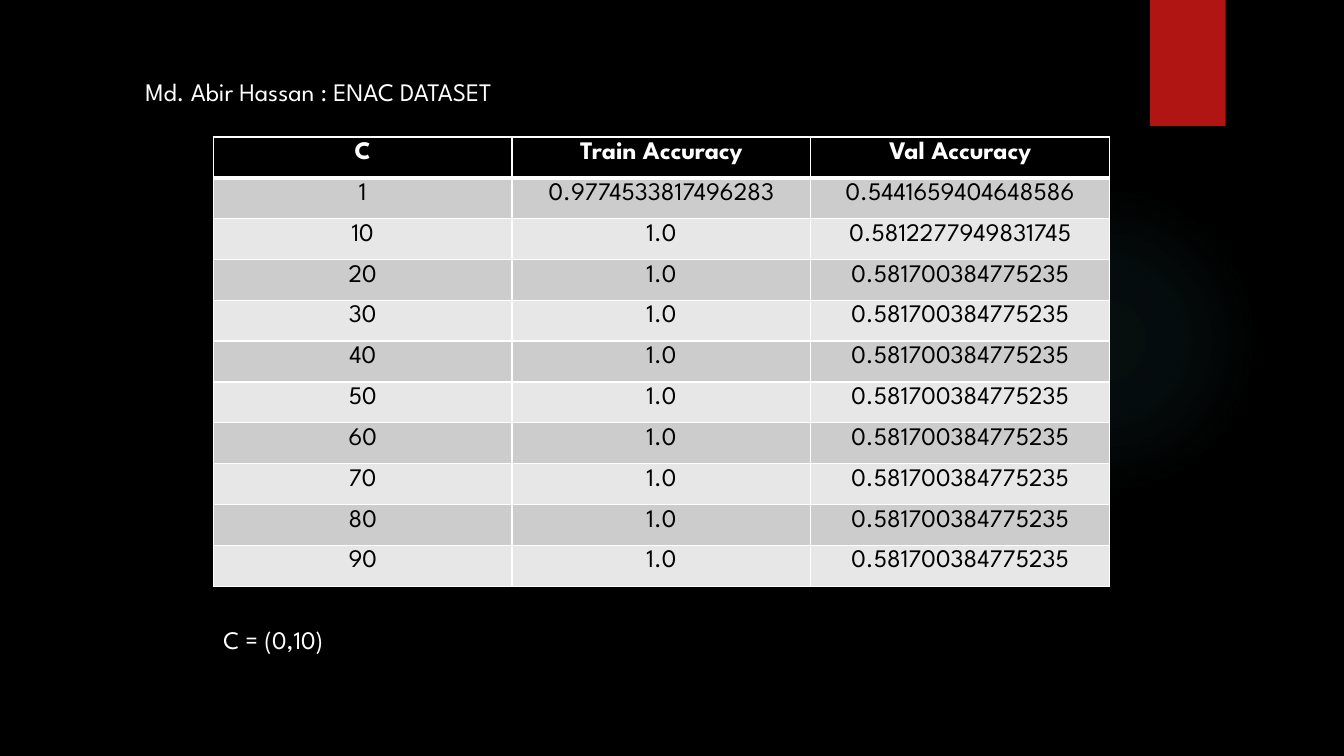
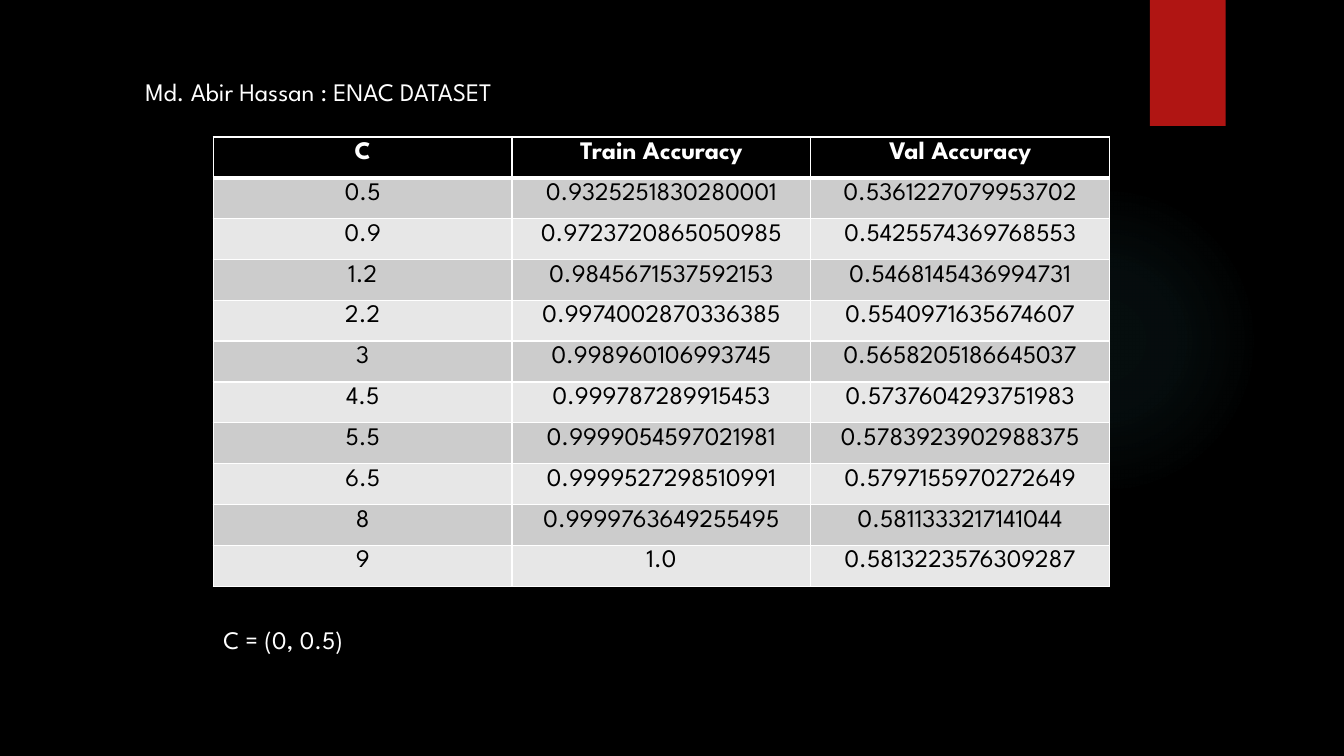
from dataclasses import dataclass

from lxml import etree
from pptx import Presentation
from pptx.dml.color import RGBColor
from pptx.enum.shapes import MSO_SHAPE
from pptx.enum.text import MSO_ANCHOR, MSO_AUTO_SIZE, PP_ALIGN
from pptx.oxml.ns import nsdecls, qn
from pptx.util import Inches, Pt

LEFT, CENTER = PP_ALIGN.LEFT, PP_ALIGN.CENTER
TOP = MSO_ANCHOR.TOP
FIT_SHAPE = MSO_AUTO_SIZE.SHAPE_TO_FIT_TEXT
ELLIPSE, RECTANGLE = MSO_SHAPE.OVAL, MSO_SHAPE.RECTANGLE

# The slide is a grid of square units, twelve to the inch.
UNIT = Inches(1) // 12
COLUMNS, ROWS = 160, 90
TITLE_ONLY = 5

TITLE_BOX = (16.1, 8.5, 62.6, 4.8)
TABLE_BOX = (25.4, 16.3, 106.7, 53.5)
NOTE_BOX = (25.4, 73.7, 34.2, 4.8)
GLOW_BOX = (112.9, 22, 37, 37)
RIBBON_BOX = (136.9, 0, 9, 15)


@dataclass(frozen=True)
class Theme:
    """Colours, font, type size and rule widths of the deck."""

    font: str = "League Spartan"
    size: int = 18
    dark: str = "000000"
    light: str = "FFFFFF"
    ribbon: str = "B01513"
    glow: str = "50B9C1"
    glow_stops: tuple = ((0, 7), (36, 6), (69, 0))
    bands: tuple = ("CCCCCC", "E7E7E7")
    thin: int = 1
    thick: int = 3


THEME = Theme()

TITLE = "Md. Abir Hassan : ENAC DATASET"
HEADINGS = ("C", "Train Accuracy", "Val Accuracy")
WIDE_RANGE = [
    ("1", "0.9774533817496283", "0.5441659404648586"),
    ("10", "1.0", "0.5812277949831745"),
    *((str(c), "1.0", "0.581700384775235") for c in range(20, 100, 10)),
]
NARROW_RANGE = [
    ("0.5", "0.9325251830280001", "0.5361227079953702"),
    ("0.9", "0.9723720865050985", "0.5425574369768553"),
    ("1.2", "0.9845671537592153", "0.5468145436994731"),
    ("2.2", "0.9974002870336385", "0.5540971635674607"),
    ("3", "0.998960106993745", "0.5658205186645037"),
    ("4.5", "0.999787289915453", "0.5737604293751983"),
    ("5.5", "0.9999054597021981", "0.5783923902988375"),
    ("6.5", "0.9999527298510991", "0.5797155970272649"),
    ("8", "0.9999763649255495", "0.5811333217141044"),
    ("9", "1.0", "0.5813223576309287"),
]
RESULTS = (("C = (0,10)", WIDE_RANGE), ("C = (0, 0.5)", NARROW_RANGE))


def on_grid(box):
    """Turn left, top, width and height in grid units into lengths."""
    return [round(value * UNIT) for value in box]


def write(frame, text, color=THEME.light, bold=False, align=LEFT):
    """Put one formatted line of text into a text frame."""
    para = frame.paragraphs[0]
    para.alignment = align
    span = para.add_run()
    span.text = text
    span.font.name = THEME.font
    span.font.size = Pt(THEME.size)
    span.font.bold = bold
    span.font.color.rgb = RGBColor.from_string(color)


def write_line(shape, text):
    """Write a free-standing line in a shape that fits its text."""
    frame = shape.text_frame
    frame.word_wrap = True
    frame.auto_size = FIT_SHAPE
    frame.vertical_anchor = TOP
    write(frame, text)


def add_plain_shape(page, kind, box):
    """Add a preset shape without line or inherited shadow."""
    shape = page.shapes.add_shape(kind, *on_grid(box))
    shape.shadow.inherit = False
    shape.line.fill.background()
    return shape


def add_glow(page):
    """Add the faint round glow with a radial, transparent gradient."""
    glow = add_plain_shape(page, ELLIPSE, GLOW_BOX)
    glow.fill.background()
    stops = "".join(
        f'<a:gs pos="{place * 1000}"><a:srgbClr val="{THEME.glow}">'
        f'<a:alpha val="{alpha * 1000}"/></a:srgbClr></a:gs>'
        for place, alpha in THEME.glow_stops
    )
    gradient = etree.fromstring(
        f'<a:gradFill {nsdecls("a")} rotWithShape="1"><a:gsLst>{stops}</a:gsLst>'
        '<a:path path="circle"><a:fillToRect l="50000" t="50000" r="50000" '
        'b="50000"/></a:path></a:gradFill>'
    )
    properties = glow.element.spPr
    properties.replace(properties.find(qn("a:noFill")), gradient)
    return glow


def add_ribbon(page):
    """Add the red ribbon at the top edge with its soft shadow."""
    ribbon = add_plain_shape(page, RECTANGLE, RIBBON_BOX)
    ribbon.fill.solid()
    ribbon.fill.fore_color.rgb = RGBColor.from_string(THEME.ribbon)
    shadow = etree.fromstring(
        f'<a:outerShdw {nsdecls("a")} blurRad="{Pt(3)}" dist="{Pt(2)}" '
        f'dir="5400000" rotWithShape="0"><a:srgbClr val="{THEME.dark}">'
        '<a:alpha val="45000"/></a:srgbClr></a:outerShdw>'
    )
    ribbon.element.spPr.find(qn("a:effectLst")).append(shadow)
    return ribbon


def decorate_layout(layout, page):
    """Build the shared shapes on a page and move them to its layout."""
    for number, shape in enumerate((add_glow(page), add_ribbon(page)), 101):
        shape.element.nvSpPr.cNvPr.set("id", str(number))
        layout.shapes.element.append(shape.element)


def set_borders(cell, **widths):
    """Draw the cell's borders; keywords L, R, T and B override the width."""
    properties = cell._tc.get_or_add_tcPr()
    for index, side in enumerate("LRTB"):
        width = Pt(widths.get(side, THEME.thin))
        border = etree.fromstring(
            f'<a:ln{side} {nsdecls("a")} w="{width}"><a:solidFill>'
            f'<a:srgbClr val="{THEME.light}"/></a:solidFill></a:ln{side}>'
        )
        properties.insert(index, border)


def fill_cell(cell, text, fill, borders, **style):
    """Give a cell its text, background and borders."""
    cell.fill.solid()
    cell.fill.fore_color.rgb = RGBColor.from_string(fill)
    set_borders(cell, **borders)
    write(cell.text_frame, text, align=CENTER, **style)


def add_results_table(page, records):
    """Add the accuracy table: a dark heading row over banded rows."""
    left, top, width, height = on_grid(TABLE_BOX)
    lines = [HEADINGS, *records]
    table = page.shapes.add_table(
        len(lines), len(HEADINGS), left, top, width, height
    ).table
    table.horz_banding = False
    for row, line in enumerate(lines):
        table.rows[row].height = height // len(lines)
        if row == 0:
            fill, borders = THEME.dark, {"B": THEME.thick}
            style = {"color": THEME.light, "bold": True}
        else:
            fill = THEME.bands[(row - 1) % len(THEME.bands)]
            borders = {"T": THEME.thick} if row == 1 else {}
            style = {"color": THEME.dark}
        for column, text in enumerate(line):
            fill_cell(table.cell(row, column), text, fill, borders, **style)


def add_title(page, text):
    """Place and format the title placeholder."""
    title = page.shapes.title
    title.left, title.top, title.width, title.height = on_grid(TITLE_BOX)
    write_line(title, text)


def add_results_page(deck, layout, note, records):
    """Add a page with the title, a table of results and a note below."""
    page = deck.slides.add_slide(layout)
    add_title(page, TITLE)
    add_results_table(page, records)
    write_line(page.shapes.add_textbox(*on_grid(NOTE_BOX)), note)
    return page


def main():
    """Build the deck and save it."""
    deck = Presentation()
    deck.slide_width, deck.slide_height = COLUMNS * UNIT, ROWS * UNIT
    backdrop = deck.slide_master.background.fill
    backdrop.solid()
    backdrop.fore_color.rgb = RGBColor.from_string(THEME.dark)
    layout = deck.slide_layouts[TITLE_ONLY]
    pages = [add_results_page(deck, layout, *result) for result in RESULTS]
    decorate_layout(layout, pages[0])
    deck.save("out.pptx")


main()
